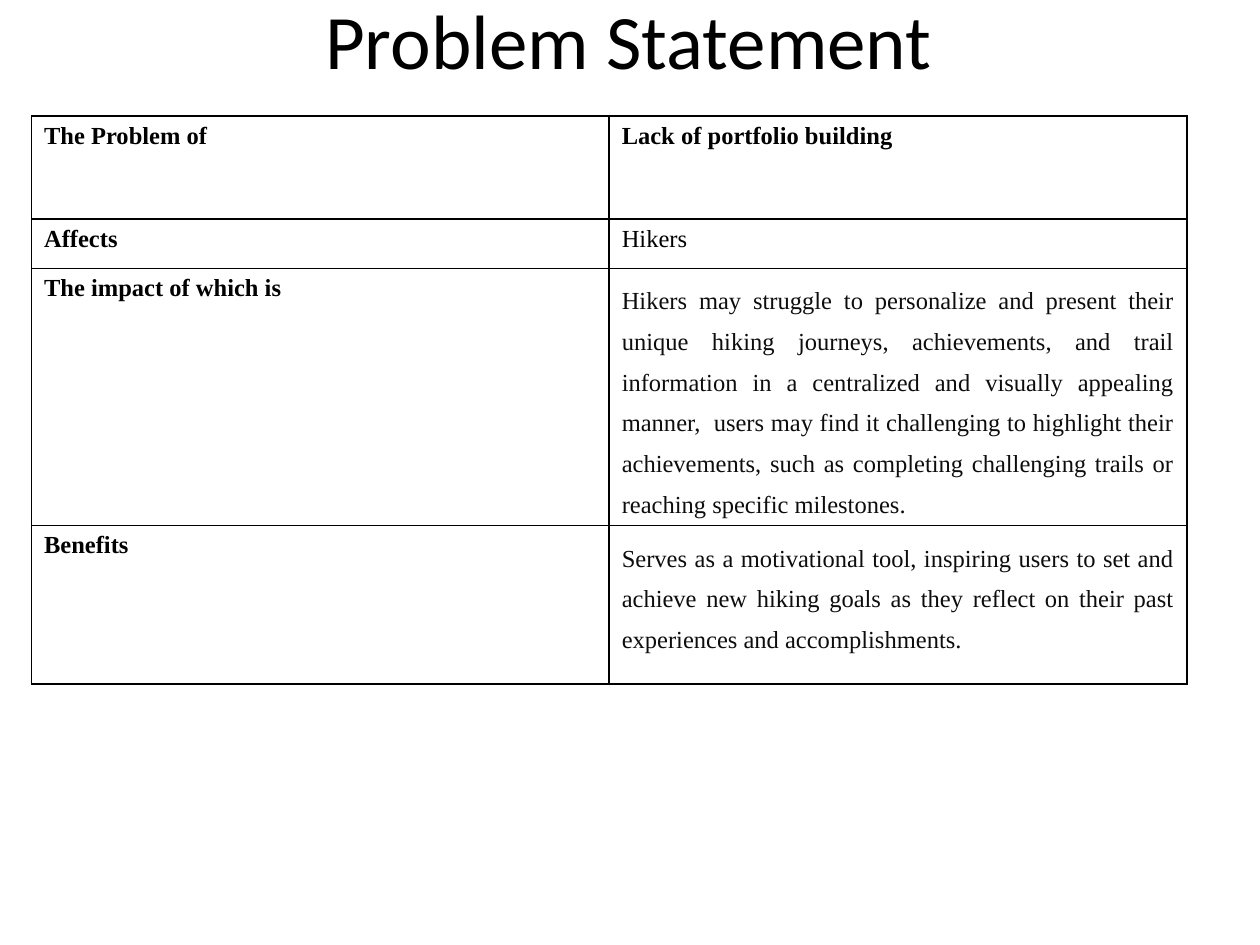
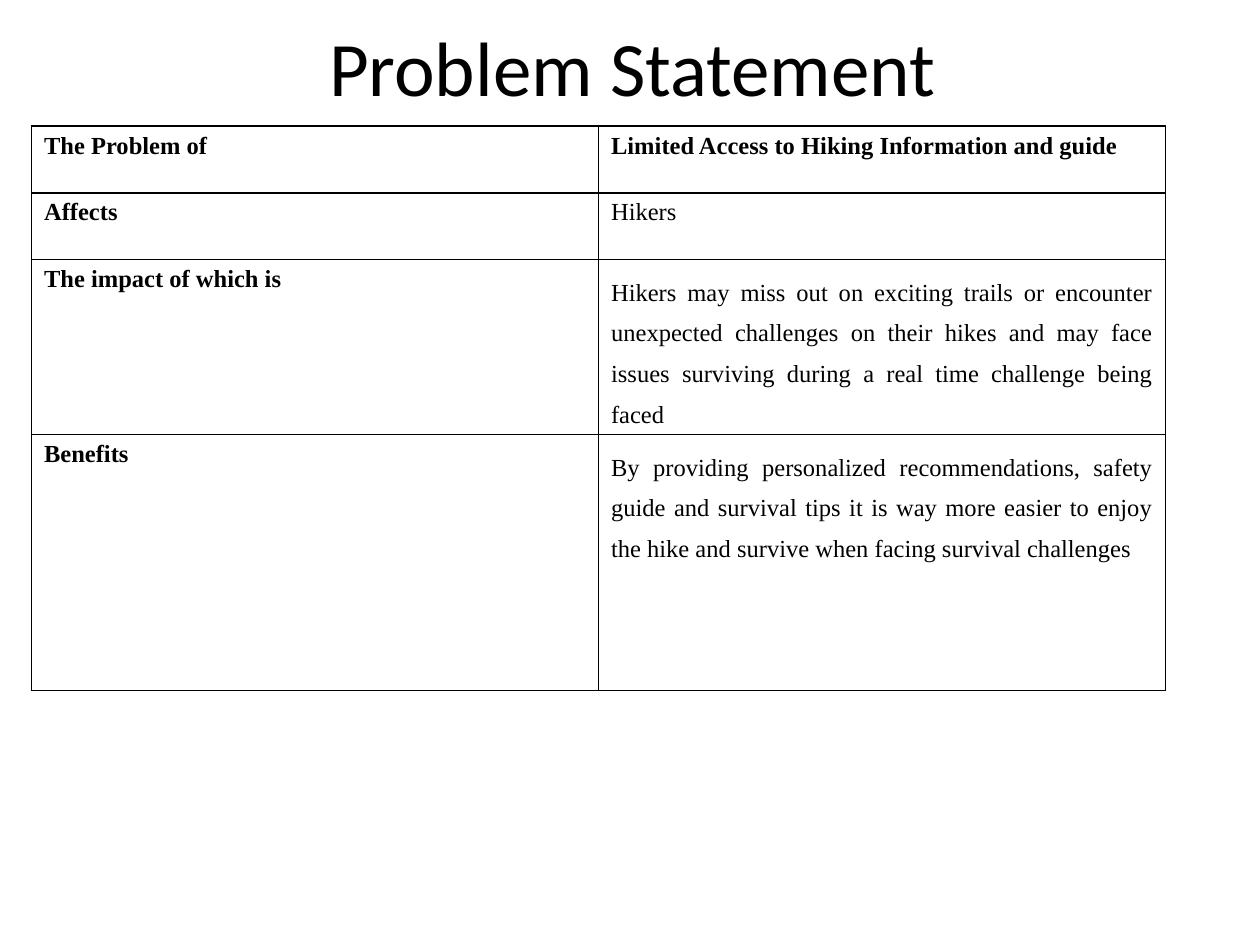
from lxml.etree import SubElement
from pptx import Presentation
from pptx.dml.color import RGBColor
from pptx.enum.text import MSO_ANCHOR, MSO_AUTO_SIZE, PP_ALIGN
from pptx.oxml.ns import qn
from pptx.util import Inches, Pt

COLORS = {"text": "000000", "soft": "0D0D0D", "border": "000000"}
TITLE = "Problem Statement"
ROW_LABELS = ["The Problem of", "Affects", "The impact of which is", "Benefits"]

TITLE_FONT = {"name": "Calibri", "size": Pt(44), "bold": False}
CELL_FONT = {"name": "Times New Roman", "size": Pt(14), "bold": False}
LABEL_FONT = {**CELL_FONT, "bold": True}
CENTERED = {"alignment": PP_ALIGN.CENTER}
PLAIN = {"alignment": PP_ALIGN.LEFT}
JUSTIFIED = {"alignment": PP_ALIGN.JUSTIFY, "line_spacing": 1.5}

# Each problem: title place, table width, row heights, long-text colour, answers
PROBLEMS = [
    {
        "title_box": (0.49, 0, 9, 0.62),
        "table_top": 0.92,
        "table_width": 9.17,
        "row_heights": [0.82, 0.39, 2.04, 1.26],
        "long_color": "soft",
        "answers": [
            "Lack of portfolio building",
            "Hikers",
            "Hikers may struggle to personalize and present their unique hiking "
            "journeys, achievements, and trail information in a centralized and "
            "visually appealing manner,  users may find it challenging to "
            "highlight their achievements, such as completing challenging trails "
            "or reaching specific milestones.",
            "Serves as a motivational tool, inspiring users to set and achieve "
            "new hiking goals as they reflect on their past experiences and "
            "accomplishments.",
        ],
    },
    {
        "title_box": (0.52, 0.04, 9, 0.96),
        "table_top": 1,
        "table_width": 9,
        "row_heights": [0.53, 0.53, 1.39, 2.03],
        "long_color": "text",
        "answers": [
            "Limited Access to Hiking Information and guide",
            "Hikers",
            "Hikers may miss out on exciting trails or encounter unexpected "
            "challenges on their hikes and may face issues surviving during a "
            "real time challenge being faced",
            "By providing personalized recommendations, safety guide and "
            "survival tips it is way more easier to enjoy the hike and survive "
            "when facing survival challenges",
        ],
    },
]


def set_values(target, values):
    for name, value in values.items():
        setattr(target, name, value)


class Deck:
    def __init__(self):
        self.presentation = Presentation()
        self.presentation.slide_width = Inches(10)
        self.presentation.slide_height = Inches(7.5)
        self.slide = None

    def add_slide(self):
        title_only = self.presentation.slide_layouts[5]
        self.slide = self.presentation.slides.add_slide(title_only)

    def add_text(self, frame, text, font, layout, color="text"):
        paragraph = frame.paragraphs[0]
        set_values(paragraph, layout)
        run = paragraph.add_run()
        run.text = text
        set_values(run.font, font)
        run.font.color.rgb = RGBColor.from_string(COLORS[color])

    def title(self, text, box):
        shape = self.slide.shapes.title
        left, top, width, height = map(Inches, box)
        set_values(shape, {"left": left, "top": top, "width": width, "height": height})
        set_values(shape.text_frame, {
            "vertical_anchor": MSO_ANCHOR.MIDDLE,
            "auto_size": MSO_AUTO_SIZE.NONE,
            "word_wrap": True,
        })
        self.add_text(shape.text_frame, text, TITLE_FONT, CENTERED)

    def border(self, cell):
        properties = cell._tc.get_or_add_tcPr()
        for side in ("lnL", "lnR", "lnT", "lnB"):
            line = SubElement(properties, qn(f"a:{side}"), w=str(Pt(1)))
            fill = SubElement(line, qn("a:solidFill"))
            SubElement(fill, qn("a:srgbClr"), val=COLORS["border"])

    def table(self, top, width, row_heights):
        table = self.slide.shapes.add_table(
            len(row_heights), 2, Inches(0.25), Inches(top),
            Inches(width), Inches(sum(row_heights))).table
        set_values(table, {"first_row": False, "horz_banding": False})
        for row, height in zip(table.rows, row_heights):
            row.height = Inches(height)
        for cell in table.iter_cells():
            self.border(cell)
            cell.fill.background()
        return table

    def problem(self, problem):
        table = self.table(problem["table_top"], problem["table_width"],
                           problem["row_heights"])
        for index, (label, answer) in enumerate(zip(ROW_LABELS, problem["answers"])):
            # Labels are bold, and so is the answer that names the problem
            self.add_text(table.cell(index, 0).text_frame, label, LABEL_FONT, PLAIN)
            is_long = index >= 2
            self.add_text(table.cell(index, 1).text_frame, answer,
                          LABEL_FONT if index == 0 else CELL_FONT,
                          JUSTIFIED if is_long else PLAIN,
                          problem["long_color"] if is_long else "text")


def main():
    deck = Deck()
    for problem in PROBLEMS:
        deck.add_slide()
        deck.title(TITLE, problem["title_box"])
        deck.problem(problem)
    deck.presentation.save("out.pptx")


if __name__ == "__main__":
    main()
